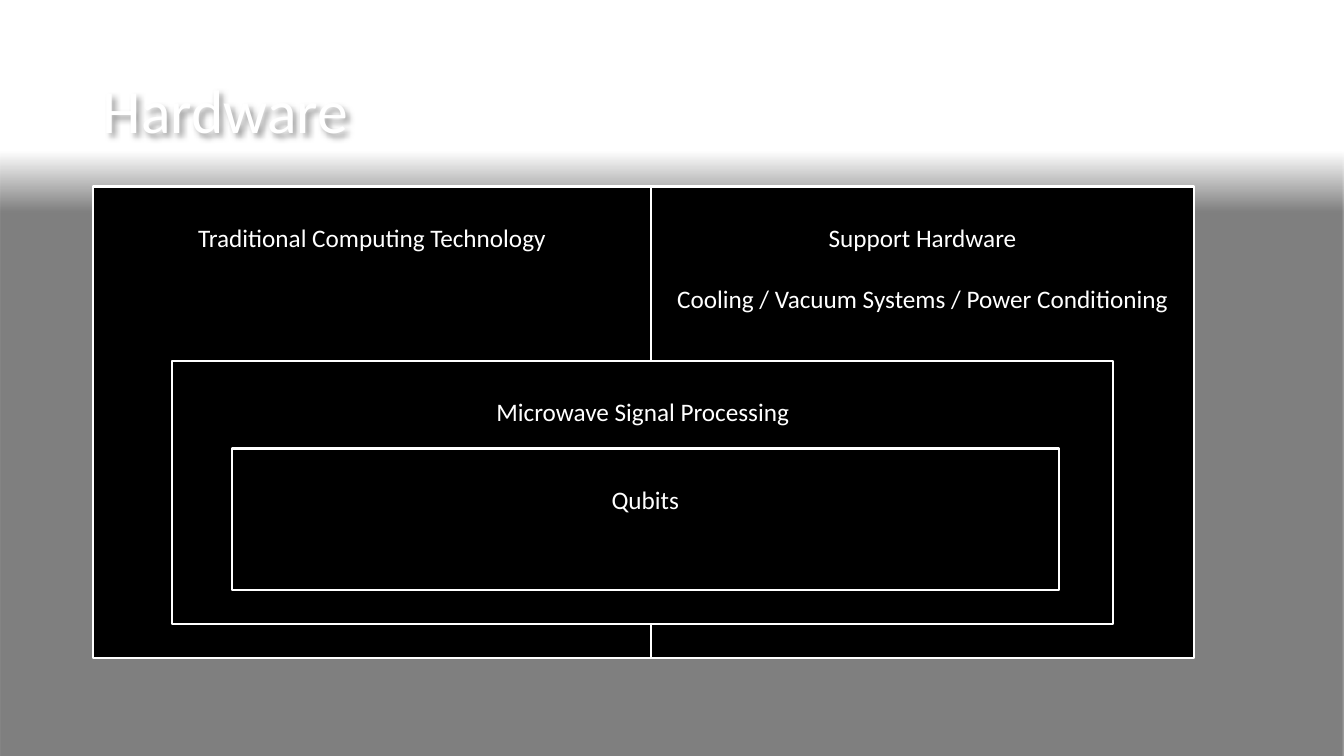
from dataclasses import dataclass

from lxml import etree
from pptx import Presentation
from pptx.dml.color import RGBColor
from pptx.enum.shapes import MSO_SHAPE
from pptx.enum.text import MSO_ANCHOR, PP_ALIGN
from pptx.util import Inches, Pt

RECT = MSO_SHAPE.RECTANGLE
TOP, MIDDLE = MSO_ANCHOR.TOP, MSO_ANCHOR.MIDDLE
LEFT, CENTER = PP_ALIGN.LEFT, PP_ALIGN.CENTER
NS = "http://schemas.openxmlformats.org/drawingml/2006/main"

# Content: places are left, top, width, height in percent of the slide
TITLE = "Hardware"
TITLE_AT = (6.9, 5.33, 86.27, 19.33)
BAND_AT = (0, 20, 100, 80)
EDGE, SEAM, END = 6.9, 48.46, 88.82
ROOF, DEPTH = 24.67, 62.4
BOXES = [
    ((SEAM, ROOF, END - SEAM, DEPTH),
     ["Support Hardware", "Cooling / Vacuum Systems / Power Conditioning"]),
    ((EDGE, ROOF, SEAM - EDGE, DEPTH), ["Traditional Computing Technology"]),
    ((12.83, 47.73, 69.99, 34.8), ["Microwave Signal Processing"]),
    ((17.25, 59.33, 61.52, 18.67), ["Qubits"]),
]
STOPS = [(0, 0), (10, 50), (100, 50)]  # place and opacity, percent


@dataclass(frozen=True)
class Theme:
    font: str = "Calibri"
    ink: str = "FFFFFF"
    fill: str = "000000"
    head: int = 44
    body: int = 18
    gap: int = 22  # one line of body text
    line: float = 1.5


THEME = Theme()
INK = RGBColor.from_string(THEME.ink)
FILL = RGBColor.from_string(THEME.fill)

deck = Presentation()
deck.slide_width, deck.slide_height = Inches(13.33), Inches(7.5)
slide = deck.slides.add_slide(deck.slide_layouts[5])


def place(at):
    sides = (deck.slide_width, deck.slide_height) * 2
    return [round(side * part / 100) for side, part in zip(sides, at)]


def write(frame, lines, size, align, anchor):
    frame.text = "\n".join(lines)
    frame.word_wrap = True
    frame.vertical_anchor = anchor
    for para in frame.paragraphs:
        para.alignment = align
        for run in para.runs:
            run.font.name, run.font.size = THEME.font, Pt(size)
            run.font.color.rgb = INK


def add_box(at):
    box = slide.shapes.add_shape(RECT, *place(at))
    box.shadow.inherit = False
    return box


# Background band fading from clear to half black
band = add_box(BAND_AT)
band.line.fill.background()
band.fill.gradient()
band.fill.gradient_angle = 270
grad = band.fill._fill._gradFill
stops = grad.find(f"{{{NS}}}gsLst")
stops.clear()
for spot, alpha in STOPS:
    stops.append(etree.fromstring(
        f'<a:gs xmlns:a="{NS}" pos="{spot * 1000}"><a:srgbClr val="{THEME.fill}">'
        f'<a:alpha val="{alpha * 1000}"/></a:srgbClr></a:gs>'))

# Title with a soft shadow
title = slide.shapes.title
title.left, title.top, title.width, title.height = place(TITLE_AT)
write(title.text_frame, [TITLE], THEME.head, LEFT, MIDDLE)
title.text_frame.paragraphs[0].line_spacing = 0.9
title._element.spPr.append(etree.fromstring(
    f'<a:effectLst xmlns:a="{NS}"><a:outerShdw blurRad="50800" dist="38100" '
    f'dir="2700000" algn="tl" rotWithShape="0"><a:srgbClr val="{THEME.fill}">'
    '<a:alpha val="40000"/></a:srgbClr></a:outerShdw></a:effectLst>'))

# Nested hardware layers, each label one line below the top
for at, lines in BOXES:
    box = add_box(at)
    box.fill.solid()
    box.fill.fore_color.rgb = FILL
    box.line.color.rgb, box.line.width = INK, Pt(THEME.line)
    frame = box.text_frame
    write(frame, lines, THEME.body, CENTER, TOP)
    frame.margin_top = Inches(0.05) + Pt(THEME.gap)
    for para in frame.paragraphs[1:]:
        para.space_before = Pt(THEME.gap)

deck.save("out.pptx")
